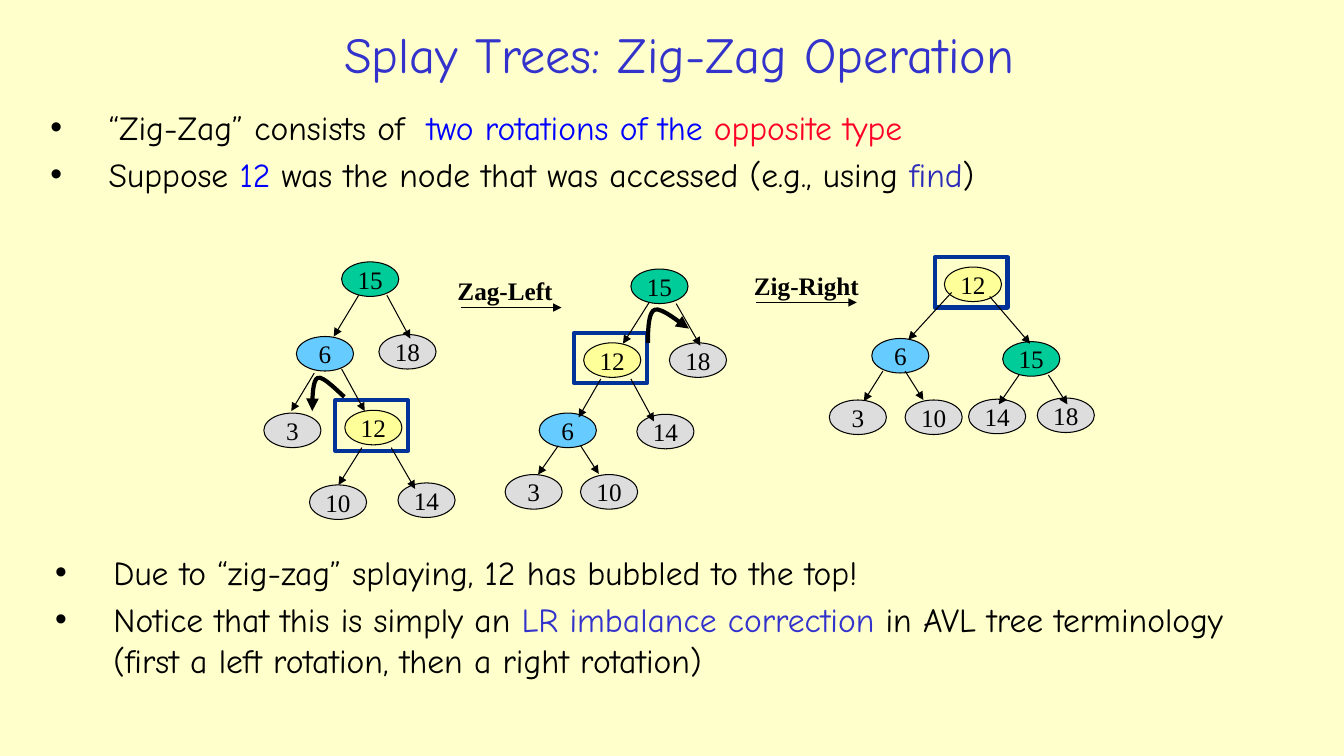
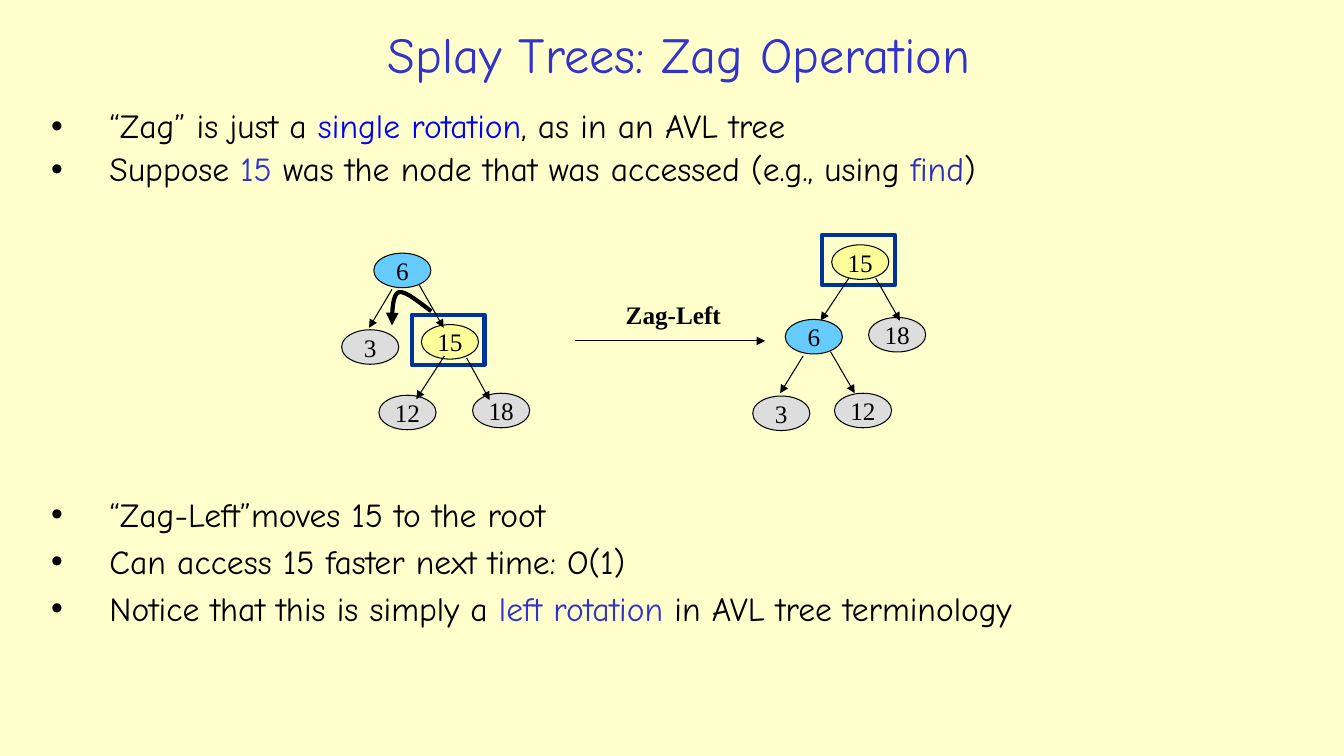
import lxml.etree
import pptx
import pptx.dml.color
import pptx.enum.shapes
import pptx.enum.text
import pptx.oxml.ns
import pptx.util

Cm = pptx.util.Cm
Pt = pptx.util.Pt
Align = pptx.enum.text.PP_ALIGN
Anchor = pptx.enum.text.MSO_ANCHOR
Fit = pptx.enum.text.MSO_AUTO_SIZE
Form = pptx.enum.shapes.MSO_SHAPE

INK, TITLE, BLUE, RED, CODE = "000000", "3333CC", "0000FF", "FD0128", "2D2DB9"
GREEN, SKY, GREY, GOLD = "00CC99", "66CCFF", "DDDDDD", "FFFF99"
PAPER, FRAME = "FFFFCC", "003399"

# Bend of the rotation arrows in a unit box, as two cubic curves
HOOK = [(0, 0), (0, 0.43), (0.02, 0.87), (0.17, 0.93),
        (0.34, 1), (0.85, 0.5), (1, 0.4)]


def hue(code):
    return pptx.dml.color.RGBColor.from_string(code)


def put(thing, values):
    for name, value in values.items():
        setattr(thing, name, value)


def add(parent, tag, **values):
    return lxml.etree.SubElement(parent, pptx.oxml.ns.qn(tag), values)


def curve(points, steps=8):
    """Return points along a chain of cubic curves."""
    track = [points[0]]
    for first in range(0, len(points) - 1, 3):
        part = points[first:first + 4]
        for step in range(1, steps + 1):
            t = step / steps
            rates = ((1 - t) ** 3, 3 * t * (1 - t) ** 2, 3 * t * t * (1 - t), t ** 3)
            track.append(tuple(sum(r * p[axis] for r, p in zip(rates, part))
                               for axis in (0, 1)))
    return track


class Deck:
    prose = {"name": "Comic Neue", "size": Pt(24)}
    head = {"name": "Comic Neue", "size": Pt(36)}
    label = {"name": "Times New Roman", "size": Pt(18)}
    node_size = (1.44, 0.87)
    frame_size = (1.83, 1.27)

    def __init__(self):
        self.prs = pptx.Presentation()
        put(self.prs, {"slide_width": Cm(33.87), "slide_height": Cm(19.05)})
        fill = self.prs.slide_master.background.fill
        fill.solid()
        fill.fore_color.rgb = hue(PAPER)

    def start(self, title):
        self.slide = self.prs.slides.add_slide(self.prs.slide_layouts[5])
        self.shapes = self.slide.shapes
        box = self.shapes.title
        put(box, {"left": Cm(5), "top": Cm(0.38), "width": Cm(24.23), "height": Cm(1.93)})
        put(box.text_frame, {"vertical_anchor": Anchor.MIDDLE, "word_wrap": True})
        para = box.text_frame.paragraphs[0]
        para.alignment = Align.CENTER
        self.run(para, title, self.head, TITLE)

    def run(self, para, text, style, color=INK):
        run = para.add_run()
        run.text = text
        put(run.font, style)
        run.font.color.rgb = hue(color)

    def stroke(self, shape, color=INK, width=0.75, end=None):
        shape.line.color.rgb = hue(color)
        shape.line.width = Pt(width)
        if end:
            add(shape.line._get_or_add_ln(), "a:" + end, type="triangle")

    def list(self, left, top, width, height, items, spacing=1.0):
        """Add bullets; each item is a list of (text, colour) pairs."""
        box = self.shapes.add_textbox(Cm(left), Cm(top), Cm(width), Cm(height))
        frame = box.text_frame
        frame.word_wrap = True
        for index, item in enumerate(items):
            para = frame.add_paragraph() if index else frame.paragraphs[0]
            props = para._p.get_or_add_pPr()
            props.set("marL", str(Cm(1.47)))
            props.set("indent", str(-Cm(1.47)))
            add(props, "a:buFont", typeface="Arial")
            add(props, "a:buChar", char="•")
            put(para, {"line_spacing": spacing, "space_before": Pt(4.8 if index else 0)})
            for text, color in item:
                self.run(para, text, self.prose, color)

    def shape(self, form, left, top, size):
        shape = self.shapes.add_shape(form, Cm(left), Cm(top), *map(Cm, size))
        shape.shadow.inherit = False
        return shape

    def node(self, text, color, left, top):
        """Add a tree node; a gold one is the accessed node and gets a frame."""
        oval = self.shape(Form.OVAL, left, top, self.node_size)
        oval.fill.solid()
        oval.fill.fore_color.rgb = hue(color)
        self.stroke(oval)
        put(oval.text_frame, {"word_wrap": False, "vertical_anchor": Anchor.MIDDLE})
        para = oval.text_frame.paragraphs[0]
        para.alignment = Align.CENTER
        self.run(para, text, self.label)
        if color == GOLD:
            frame = self.shape(Form.RECTANGLE, left - 0.24, top - 0.25, self.frame_size)
            frame.fill.background()
            self.stroke(frame, FRAME, 3)

    def arrow(self, *ends):
        line = self.shapes.add_connector(
            pptx.enum.shapes.MSO_CONNECTOR.STRAIGHT, *map(Cm, ends))
        self.stroke(line, end="tailEnd")
        add(line._element.spPr, "a:effectLst")

    def tree(self, nodes):
        """Draw nodes given as text, colour, left, top and the arrow from the parent."""
        for text, color, left, top, *edge in nodes:
            self.node(text, color, left, top)
        for node in nodes[1:]:
            self.arrow(*node[4:])

    def hook(self, left, foot, width, end):
        track = [(Cm(left + width * x), Cm(foot - 0.9 * y)) for x, y in curve(HOOK)]
        path = self.shapes.build_freeform(*track[0])
        path.add_line_segments(track[1:], close=False)
        shape = path.convert_to_shape()
        shape.shadow.inherit = False
        shape.fill.background()
        self.stroke(shape, width=3, end=end)

    def step(self, text, left, top, width, line):
        """Add a caption and its arrow, given as start, end and height."""
        box = self.shapes.add_textbox(Cm(left), Cm(top), Cm(width), Cm(1.02))
        put(box.text_frame, {"word_wrap": False, "auto_size": Fit.SHAPE_TO_FIT_TEXT})
        self.run(box.text_frame.paragraphs[0], text, {**self.label, "bold": True})
        start, stop, level = line
        self.arrow(start, level, stop, level)


def zigzag(deck):
    deck.start("Splay Trees: Zig-Zag Operation")
    deck.list(1.02, 2.57, 31.67, 2.92, [
        [("“Zig-Zag” consists of  ", INK), ("two rotations of the ", BLUE),
         ("opposite type", RED)],
        [("Suppose ", INK), ("12 ", BLUE),
         ("was the node that was accessed (e.g., using ", INK), ("find", CODE), (")", INK)],
    ])
    deck.tree([
        ("15", GREEN, 8.61, 6.6),
        ("6", SKY, 7.47, 8.48, 9.04, 7.44, 8.41, 8.48),
        ("18", GREY, 9.55, 8.43, 9.75, 7.44, 10.34, 8.53),
        ("3", GREY, 6.65, 10.41, 7.92, 9.4, 7.34, 10.36),
        ("12", GOLD, 8.69, 10.34, 8.61, 9.3, 9.19, 10.36),
        ("10", GREY, 7.8, 12.22, 9.12, 11.28, 8.53, 12.22),
        ("14", GREY, 10.03, 12.17, 9.86, 11.28, 10.46, 12.32),
    ])
    deck.hook(7.87, 10.36, 0.81, "headEnd")
    deck.step("Zag-Left", 11.28, 6.81, 2.95, (11.61, 14.15, 7.75))
    deck.tree([
        ("15", GREEN, 15.9, 6.78),
        ("12", GOLD, 14.71, 8.64, 16.36, 7.62, 15.7, 8.66),
        ("18", GREY, 16.87, 8.64, 17.04, 7.65, 17.65, 8.71),
        ("6", SKY, 13.59, 10.41, 15.14, 9.55, 14.58, 10.52),
        ("14", GREY, 16.05, 10.44, 15.9, 9.55, 16.48, 10.62),
        ("3", GREY, 12.73, 11.96, 14.07, 11.23, 13.56, 11.96),
        ("10", GREY, 14.63, 11.96, 14.63, 11.23, 15.09, 11.94),
    ])
    deck.hook(16.33, 8.64, 1.03, "tailEnd")
    deck.step("Zig-Right", 18.75, 6.68, 3.15, (19.05, 21.59, 7.62))
    deck.tree([
        ("12", GOLD, 23.8, 6.73),
        ("6", SKY, 21.97, 8.53, 23.98, 7.37, 22.89, 8.56),
        ("15", GREEN, 25.27, 8.61, 24.94, 7.47, 25.96, 8.66),
        ("3", GREY, 20.9, 10.08, 22.25, 9.35, 21.77, 10.11),
        ("10", GREY, 22.81, 10.08, 22.81, 9.35, 23.27, 10.08),
        ("14", GREY, 24.41, 10.06, 25.68, 9.45, 25.17, 10.19),
        ("18", GREY, 26.14, 10.03, 26.42, 9.45, 26.9, 10.19),
    ])
    deck.list(1.14, 13.79, 31.39, 3.76, [
        [("Due to “zig-zag” splaying, 12 has bubbled to the top!", INK)],
        [("Notice that this is simply an ", INK), ("LR imbalance correction", TITLE),
         (" in AVL tree terminology (first a left rotation, then a right rotation)", INK)],
    ])


def zag(deck):
    deck.start("Splay Trees: Zag Operation")
    deck.list(1.04, 2.64, 31.5, 2.87, [
        [("“Zag” is just a ", INK), ("single rotation", BLUE), (", as in an AVL tree", INK)],
        [("Suppose ", INK), ("15", TITLE),
         (" was the node that was accessed (e.g., using ", INK), ("find", CODE), (")", INK)],
    ], spacing=0.9)
    deck.tree([
        ("6", SKY, 9.42, 6.38),
        ("3", GREY, 8.61, 8.31, 9.88, 7.29, 9.3, 8.26),
        ("15", GOLD, 10.62, 8.18, 10.57, 7.19, 11.18, 8.26),
        ("12", GREY, 9.55, 9.96, 11.2, 8.97, 10.49, 10.06),
        ("18", GREY, 11.91, 9.91, 11.76, 9.02, 12.34, 10.08),
    ])
    deck.hook(9.88, 8.2, 0.99, "headEnd")
    deck.step("Zag-Left", 15.52, 7.42, 2.95, (14.5, 19.28, 8.59))
    deck.tree([
        ("15", GOLD, 20.96, 6.17),
        ("6", SKY, 19.79, 8.05, 21.39, 7.01, 20.68, 8.08),
        ("18", GREY, 21.89, 8, 22.07, 7.01, 22.68, 8.08),
        ("3", GREY, 18.97, 9.98, 20.24, 8.97, 19.66, 9.91),
        ("12", GREY, 21.03, 9.91, 20.93, 8.86, 21.54, 9.91),
    ])
    deck.list(1.04, 12.32, 31.5, 4.34, [
        [("“Zag-Left”moves 15 to the root", INK)],
        [("Can access 15 faster next time: O(1)", INK)],
        [("Notice that this is simply a ", INK), ("left rotation", TITLE),
         (" in AVL tree terminology", INK)],
    ])


def main():
    deck = Deck()
    zigzag(deck)
    zag(deck)
    deck.prs.save("out.pptx")


if __name__ == "__main__":
    main()
